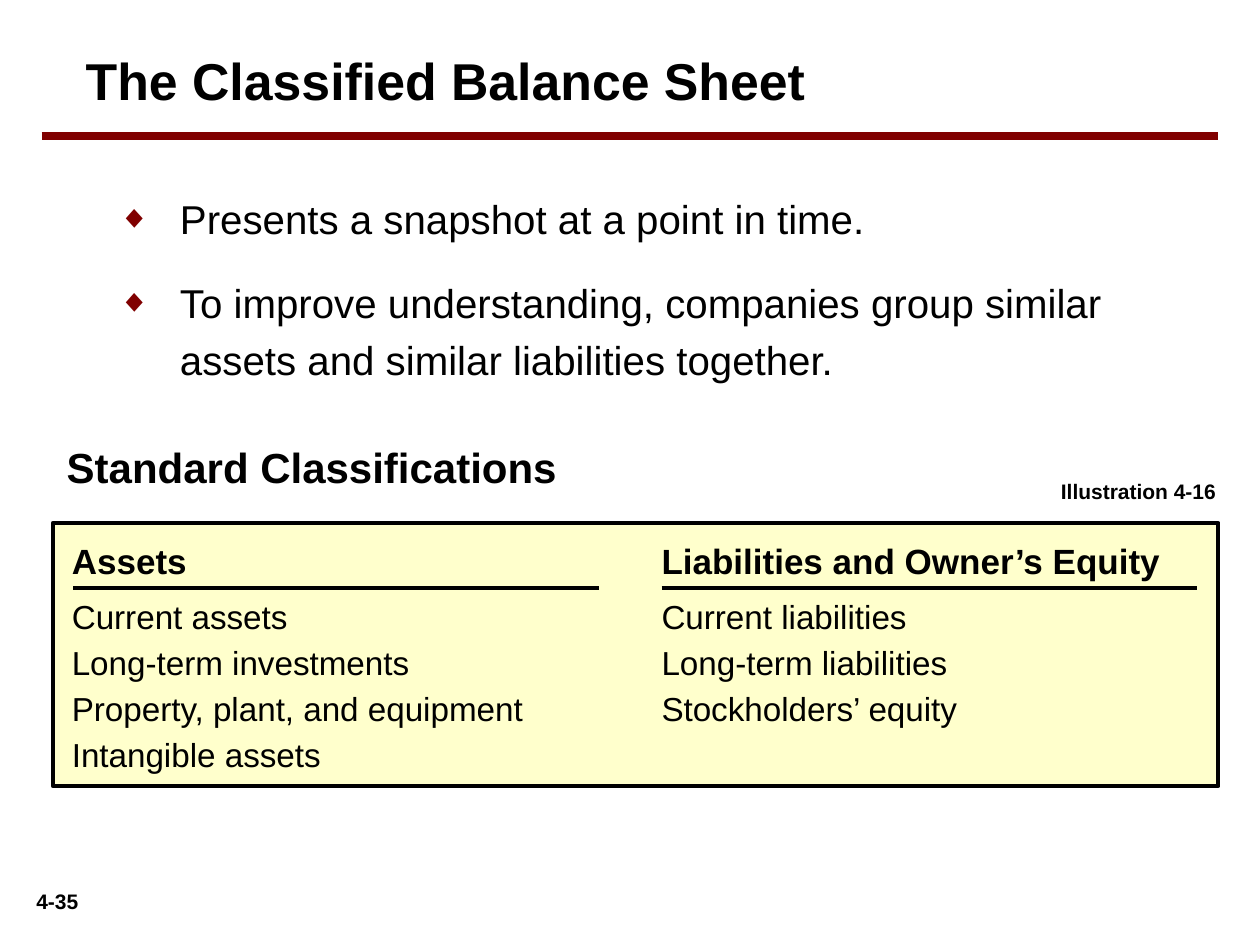
import lxml.etree
import pptx
import pptx.dml.color
import pptx.enum.shapes
import pptx.enum.text
import pptx.oxml.ns
import pptx.util

Inches = pptx.util.Inches
Pt = pptx.util.Pt
ALIGN = pptx.enum.text.PP_ALIGN
ANCHOR = pptx.enum.text.MSO_ANCHOR

BLACK = "000000"
MAROON = "800000"
CREAM = "FFFFCC"
FONT = "Arial"


def color(value):
    return pptx.dml.color.RGBColor.from_string(value)


def add_element(parent, tag, **attributes):
    element = lxml.etree.SubElement(parent, pptx.oxml.ns.qn(tag))
    for name, value in attributes.items():
        element.set(name, str(value))
    return element


def add_bullet(para, character, hue, percent, left, hanging):
    properties = para._p.get_or_add_pPr()
    properties.set("marL", str(Inches(left)))
    properties.set("indent", str(-Inches(hanging)))
    add_element(add_element(properties, "a:buClr"), "a:srgbClr", val=hue)
    add_element(properties, "a:buSzPct", val=percent * 1000)
    add_element(properties, "a:buFont", typeface=FONT)
    add_element(properties, "a:buChar", char=character)


def add_tab(para, position):
    tabs = add_element(para._p.get_or_add_pPr(), "a:tabLst")
    add_element(tabs, "a:tab", pos=Inches(position), algn="l")


def write(para, text, size=20, bold=False, hue=BLACK, align=ALIGN.LEFT,
          spacing=1.0, before=0):
    para.alignment = align
    para.line_spacing = spacing
    para.space_before = Pt(before)
    span = para.add_run()
    span.text = text
    span.font.name = FONT
    span.font.size = Pt(size)
    span.font.bold = bold
    span.font.color.rgb = color(hue)


def set_frame(shape, left=0.1, top=0.05, right=0.1, bottom=0.05, anchor=ANCHOR.TOP):
    frame = shape.text_frame
    frame.word_wrap = True
    frame.auto_size = pptx.enum.text.MSO_AUTO_SIZE.NONE
    frame.vertical_anchor = anchor
    frame.margin_left, frame.margin_right = Inches(left), Inches(right)
    frame.margin_top, frame.margin_bottom = Inches(top), Inches(bottom)
    return frame


def next_para(frame, index):
    return frame.add_paragraph() if index else frame.paragraphs[0]


def add_label(page, box, text, side=0.1, **style):
    label = page.shapes.add_textbox(*map(Inches, box))
    frame = set_frame(label, left=side, right=side)
    write(frame.paragraphs[0], text, **style)


def add_rule(page, left, right, top, hue, width):
    rule = page.shapes.add_connector(
        pptx.enum.shapes.MSO_CONNECTOR.STRAIGHT,
        Inches(left), Inches(top), Inches(right), Inches(top))
    rule.line.color.rgb = color(hue)
    rule.line.width = Pt(width)
    add_element(rule._element.spPr, "a:effectLst")


def add_heading(page, box, text):
    left, top, width, height = box
    title = page.shapes.title
    title.left, title.top = Inches(left), Inches(top)
    title.width, title.height = Inches(width), Inches(height)
    frame = set_frame(title, anchor=ANCHOR.MIDDLE)
    write(frame.paragraphs[0], text, size=29.6, bold=True)
    add_rule(page, 0.33, 9.67, top + 0.75, MAROON, 4.5)


def add_points(page, box, points):
    frame = set_frame(page.shapes.add_textbox(*map(Inches, box)))
    for index, point in enumerate(points):
        para = next_para(frame, index)
        para.level = 1
        add_bullet(para, "◆", MAROON, 80, 0.75, 0.49)
        write(para, point, size=23, spacing=1.2, before=14.4 if index else 0)


def add_classifications(page, box, headings, rows):
    left, top, width, height = box
    panel = page.shapes.add_shape(
        pptx.enum.shapes.MSO_SHAPE.RECTANGLE, *map(Inches, box))
    panel.shadow.inherit = False
    panel.fill.solid()
    panel.fill.fore_color.rgb = color(CREAM)
    panel.line.color.rgb = color(BLACK)
    panel.line.width = Pt(2.25)
    frame = set_frame(panel, left=0.15, top=0.1, bottom=0.1)
    for index, cells in enumerate([headings] + rows):
        para = next_para(frame, index)
        add_tab(para, 4.68)
        text = "\t".join(cells)
        if index == 0:
            write(para, text, size=20, bold=True, spacing=1.1)
        else:
            write(para, text, size=19, before=8.2 if index == 1 else 3.5)
    for start, end in ((0.16, 4.33), (4.83, 9.08)):
        add_rule(page, left + start, left + end, top + 0.52, BLACK, 2.25)


def main():
    deck = pptx.Presentation()
    deck.slide_width, deck.slide_height = Inches(10), Inches(7.5)
    page = deck.slides.add_slide(deck.slide_layouts.get_by_name("Title Only"))

    add_heading(page, (0.58, 0.33, 8.33, 0.61), "The Classified Balance Sheet")
    add_points(page, (0.58, 1.42, 8.75, 1.68), [
        "Presents a snapshot at a point in time.",
        "To improve understanding, companies group similar assets "
        "and similar liabilities together.",
    ])
    add_label(page, (0.33, 3.5, 5.17, 0.5), "Standard Classifications",
              side=0.2, size=24, bold=True, spacing=0.9)
    add_label(page, (8, 3.75, 1.75, 0.3), "Illustration 4-16",
              size=12, bold=True, align=ALIGN.RIGHT)
    add_classifications(
        page, (0.42, 4.15, 9.25, 2.09),
        ("Assets", "Liabilities and Owner’s Equity"),
        [
            ("Current assets", "Current liabilities"),
            ("Long-term investments", "Long-term liabilities"),
            ("Property, plant, and equipment", "Stockholders’ equity"),
            ("Intangible assets",),
        ])
    add_label(page, (0.08, 7, 0.75, 0.3), "4-35",
              size=12, bold=True, align=ALIGN.CENTER)

    deck.save("out.pptx")


if __name__ == "__main__":
    main()
